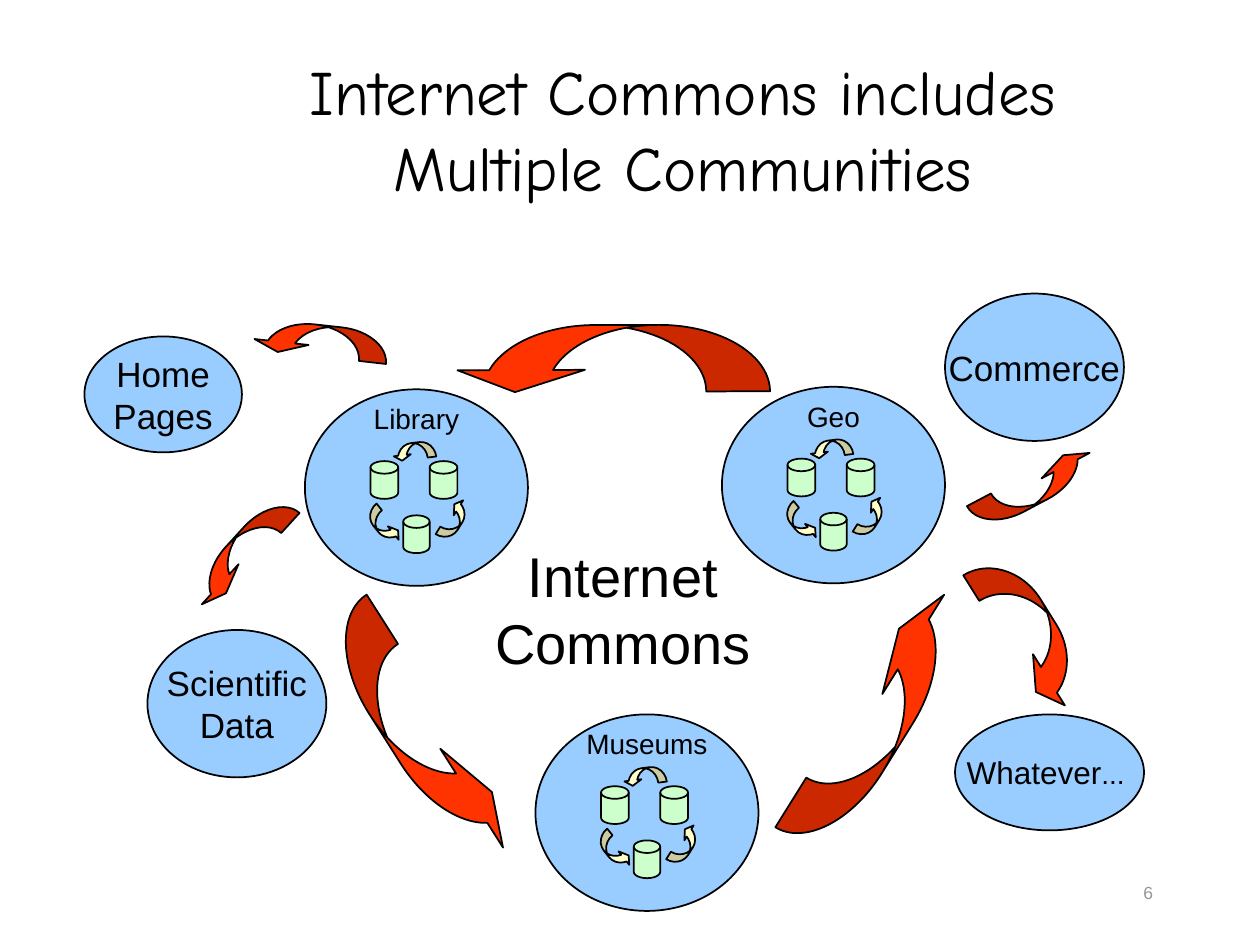
from dataclasses import dataclass

from pptx import Presentation
from pptx.dml.color import RGBColor
from pptx.enum import shapes, text
from pptx.util import Inches, Pt

SHAPE = shapes.MSO_SHAPE
ALIGN = text.PP_ALIGN
ANCHOR = text.MSO_ANCHOR

BLACK, GREY = "000000", "969696"
BLUE, GREEN, RED, CREAM = "99CCFF", "CCFFCC", "FF3300", "FFFFCC"


@dataclass(frozen=True)
class Box:
    left: float
    top: float
    width: float
    height: float

    def shifted(self, left: float, top: float) -> "Box":
        """Return the box moved by an offset."""
        return Box(self.left + left, self.top + top, self.width, self.height)

    def lengths(self) -> tuple:
        """Return left, top, width and height as lengths."""
        return tuple(Inches(v) for v in (self.left, self.top, self.width, self.height))


@dataclass(frozen=True)
class Arrow:
    box: Box
    rotation: float
    kind: int = SHAPE.CURVED_RIGHT_ARROW
    band: float = 0.2


@dataclass(frozen=True)
class Community:
    name: str
    left: float
    top: float


@dataclass(frozen=True)
class Neighbour:
    lines: tuple
    box: Box
    size: int = 20


COMMUNITIES = (
    Community("Geo", 5.73, 3.07),
    Community("Library", 2.42, 3.09),
    Community("Museums", 4.25, 5.67),
)
DISKS = (
    Box(0.52, 0.57, 0.22, 0.3),
    Box(0.78, 1, 0.21, 0.3),
    Box(0.99, 0.57, 0.22, 0.3),
)
INNER_ARROWS = (
    Arrow(Box(0.56, 0.91, 0.13, 0.34), 321.3),
    Arrow(Box(1.12, 0.86, 0.13, 0.35), 212),
    Arrow(Box(0.8, 0.32, 0.13, 0.34), 82.9),
)
OUTER_ARROWS = (
    Arrow(Box(3.08, 4.67, 0.49, 2.32), 327.6),
    Arrow(Box(4.58, 1.58, 0.53, 2.53), 89.8),
    Arrow(Box(6.73, 4.55, 0.49, 2.32), 211.9),
    Arrow(Box(1.38, 4.26, 1.08, 0.25), 132.5, SHAPE.CURVED_UP_ARROW),
    Arrow(Box(2, 2.58, 1.08, 0.25), 186.3, SHAPE.CURVED_UP_ARROW),
    Arrow(Box(7.67, 3.75, 1.08, 0.25), 332.1, SHAPE.CURVED_UP_ARROW),
    Arrow(Box(7.51, 4.81, 1.33, 0.42), 58.1, SHAPE.CURVED_DOWN_ARROW, 0.18),
)
NEIGHBOURS = (
    Neighbour(("Scientific", "Data"), Box(1.17, 5, 1.42, 1.17)),
    Neighbour(("Home", "Pages"), Box(0.67, 2.67, 1.25, 0.92)),
    Neighbour(("Commerce",), Box(7.5, 2.33, 1.42, 1.17)),
    Neighbour(("Whatever",), Box(7.58, 5.67, 1.5, 0.92), 18),
)


def rgb(color: str) -> RGBColor:
    """Turn a hex string into a colour."""
    return RGBColor.from_string(color)


def write(shape, lines: tuple, size: int, color: str = BLACK, align=ALIGN.CENTER,
          anchor=ANCHOR.MIDDLE, font: str = "Arial", wrap: bool = False) -> None:
    """Fill a shape with formatted paragraphs."""
    frame = shape.text_frame
    frame.text = "\n".join(lines)
    frame.word_wrap = wrap
    frame.auto_size = text.MSO_AUTO_SIZE.NONE
    frame.vertical_anchor = anchor
    for paragraph in frame.paragraphs:
        paragraph.alignment = align
        paragraph.font.name = font
        paragraph.font.size = Pt(size)
        paragraph.font.color.rgb = rgb(color)


def add_outlined(slide, kind, box: Box, color: str):
    """Add a filled preset shape with a thin black outline."""
    shape = slide.shapes.add_shape(kind, *box.lengths())
    shape.shadow.inherit = False
    shape.fill.solid()
    shape.fill.fore_color.rgb = rgb(color)
    shape.line.color.rgb = rgb(BLACK)
    shape.line.width = Pt(1)
    return shape


def add_label(slide, box: Box, lines: tuple, size: int, **style) -> None:
    """Add a text box."""
    write(slide.shapes.add_textbox(*box.lengths()), lines, size, **style)


def add_arrow(slide, arrow: Arrow, color: str, left: float = 0, top: float = 0) -> None:
    """Add a rotated curved arrow whose band follows its length."""
    box = arrow.box.shifted(left, top)
    shape = add_outlined(slide, arrow.kind, box, color)
    shape.rotation = arrow.rotation
    band = arrow.band * max(box.width, box.height) / min(box.width, box.height)
    for index, value in enumerate((band, 2 * band, 0.33)):
        shape.adjustments[index] = value


def add_community(slide, community: Community) -> None:
    """Add a community with its cycle of data stores."""
    left, top = community.left, community.top
    add_outlined(slide, SHAPE.OVAL, Box(left, top, 1.77, 1.56), BLUE)
    for disk in DISKS:
        add_outlined(slide, SHAPE.FLOWCHART_MAGNETIC_DISK, disk.shifted(left, top), GREEN)
    for arrow in INNER_ARROWS:
        add_arrow(slide, arrow, CREAM, left, top)
    add_label(slide, Box(left, top + 0.05, 1.77, 0.37), (community.name,), 16,
              anchor=ANCHOR.TOP)


def add_neighbour(slide, neighbour: Neighbour):
    """Add a labelled outer community."""
    shape = add_outlined(slide, SHAPE.OVAL, neighbour.box, BLUE)
    write(shape, neighbour.lines, neighbour.size)
    return shape


def main() -> None:
    """Build and save the slide."""
    presentation = Presentation()
    presentation.slide_width, presentation.slide_height = Inches(10), Inches(7.5)
    slide = presentation.slides.add_slide(presentation.slide_layouts[5])
    title = slide.shapes.title
    title.left, title.top, title.width, title.height = Box(1.92, 0.42, 7, 1.25).lengths()
    write(title, ("Internet Commons includes Multiple Communities",), 36,
          anchor=ANCHOR.BOTTOM, font="Comic Neue", wrap=True)

    for arrow in OUTER_ARROWS:
        add_arrow(slide, arrow, RED)
    add_label(slide, Box(3.83, 4.25, 2.23, 1.17), ("Internet", "Commons"), 32,
              anchor=ANCHOR.TOP)
    for community in COMMUNITIES:
        add_community(slide, community)
    outer = [add_neighbour(slide, neighbour) for neighbour in NEIGHBOURS]
    dots = outer[-1].text_frame.paragraphs[0].add_run()
    dots.text = "... "
    dots.font.size = Pt(16)

    add_label(slide, Box(7.17, 6.83, 2.08, 0.5), ("6",), 10, color=GREY,
              align=ALIGN.RIGHT, wrap=True)
    presentation.save("out.pptx")


main()
